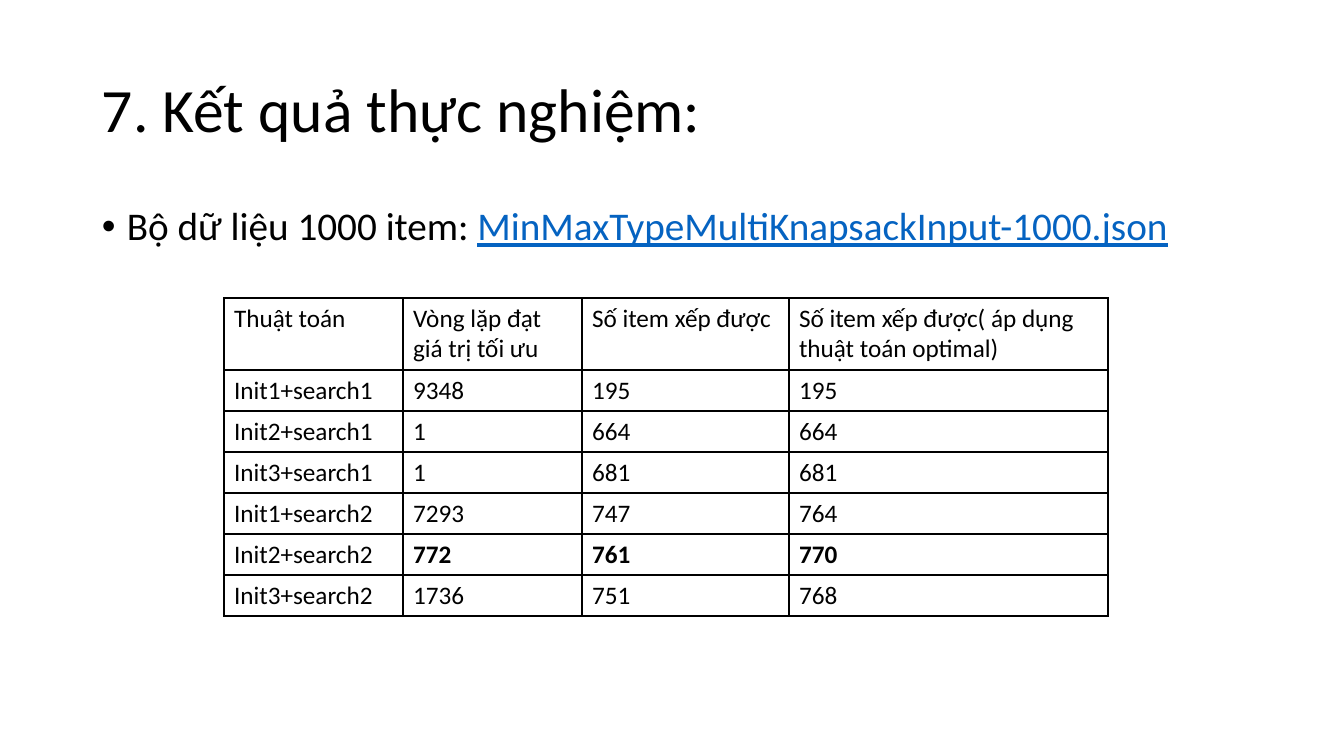
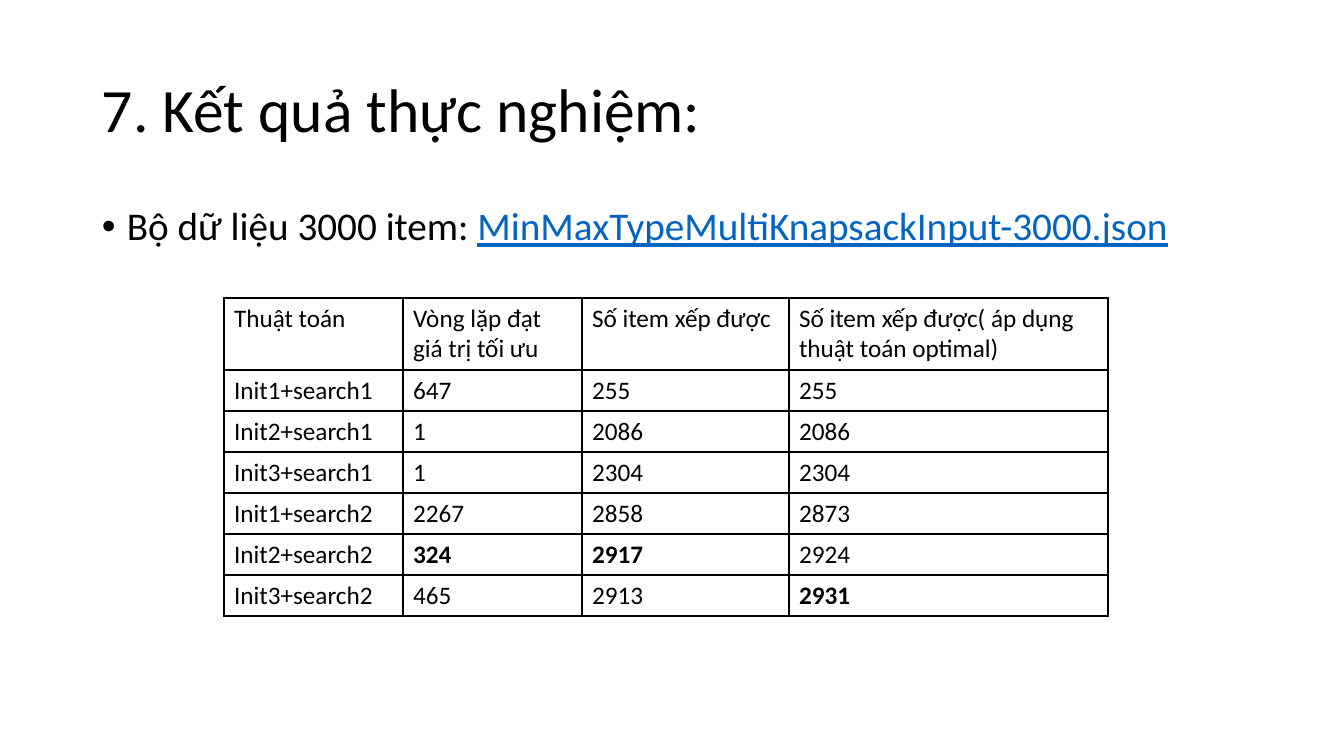
from lxml.etree import SubElement
from pptx import Presentation
from pptx.dml.color import RGBColor
from pptx.enum.text import MSO_ANCHOR
from pptx.oxml import parse_xml
from pptx.oxml.ns import nsdecls, qn
from pptx.util import Emu, Pt

TITLE = "7. Kết quả thực nghiệm:"
HEADER = (
    "Thuật toán",
    "Vòng lặp đạt giá trị tối ưu",
    "Số item xếp được",
    "Số item xếp được( áp dụng thuật toán optimal)",
)
ALGORITHMS = (
    "Init1+search1", "Init2+search1", "Init3+search1",
    "Init1+search2", "Init2+search2", "Init3+search2",
)
EXPERIMENTS = (
    {
        "items": 1000,
        "results": ((9348, 195, 195), (1, 664, 664), (1, 681, 681),
                    (7293, 747, 764), (772, 761, 770), (1736, 751, 768)),
        "bold": {(5, 1), (5, 2), (5, 3)},
    },
    {
        "items": 3000,
        "results": ((647, 255, 255), (1, 2086, 2086), (1, 2304, 2304),
                    (2267, 2858, 2873), (324, 2917, 2924), (465, 2913, 2931)),
        "bold": {(5, 1), (5, 2), (6, 3)},
    },
)

FONT = "Calibri"
BLACK, LINK_BLUE = "000000", "0563C1"
SLIDE_SIZE = (1344, 756)
TITLE_BOX = (92, 40, 1159, 146)
BODY_BOX = (92, 202, 1159, 480)
TABLE_CORNER = (224, 298)
COLUMN_WIDTHS = (179, 179, 207, 319)
HEADER_HEIGHT, ROW_HEIGHT = 72, 41
BULLET_INDENT = 25


def px(length):
    """Turn picture pixels into EMU."""
    return Emu(round(length * 914400 / 100.8))


def color(code):
    """Turn a hex string into a colour."""
    return RGBColor.from_string(code)


def style_run(span, size, code=BLACK, bold=False, underline=False):
    """Set the font of one run."""
    font = span.font
    font.name, font.size = FONT, Pt(size)
    font.bold, font.underline = bold, underline
    font.color.rgb = color(code)


def add_text_box(page, place, anchor):
    """Add a wrapping text box and return its first paragraph."""
    frame = page.shapes.add_textbox(*map(px, place)).text_frame
    frame.word_wrap = True
    frame.vertical_anchor = anchor
    para = frame.paragraphs[0]
    para.line_spacing = 0.9
    return para


def add_title(page):
    """Add the shared slide title."""
    para = add_text_box(page, TITLE_BOX, MSO_ANCHOR.MIDDLE)
    para.text = TITLE
    style_run(para.runs[0], 44)


def add_dataset_line(page, items):
    """Add the bulleted line that names the data file."""
    para = add_text_box(page, BODY_BOX, MSO_ANCHOR.TOP)
    para.space_before = Pt(10)
    label, file_name = para.add_run(), para.add_run()
    label.text = f"Bộ dữ liệu {items} item: "
    file_name.text = f"MinMaxTypeMultiKnapsackInput-{items}.json"
    style_run(label, 28)
    style_run(file_name, 28, LINK_BLUE, underline=True)
    properties = para._p.get_or_add_pPr()
    properties.set("marL", str(px(BULLET_INDENT)))
    properties.set("indent", str(-px(BULLET_INDENT)))
    SubElement(properties, qn("a:buFont")).set("typeface", "Arial")
    SubElement(properties, qn("a:buChar")).set("char", "•")


def add_borders(cell):
    """Draw a thin black line on every side of a cell."""
    properties = cell._tc.get_or_add_tcPr()
    for order, side in enumerate("LRTB"):
        properties.insert(order, parse_xml(
            f'<a:ln{side} {nsdecls("a")} w="{Pt(1)}"><a:solidFill>'
            f'<a:srgbClr val="{BLACK}"/></a:solidFill></a:ln{side}>'))


def add_results_table(page, results, bold):
    """Add the table that compares the algorithms."""
    rows = [HEADER] + [(name, *values) for name, values in zip(ALGORITHMS, results)]
    heights = [HEADER_HEIGHT] + [ROW_HEIGHT] * len(results)
    size = (sum(COLUMN_WIDTHS), sum(heights))
    table = page.shapes.add_table(
        len(rows), len(HEADER), *map(px, TABLE_CORNER + size)).table
    table.first_row = table.horz_banding = False
    for column, width in zip(table.columns, COLUMN_WIDTHS):
        column.width = px(width)
    for row, height in zip(table.rows, heights):
        row.height = px(height)
    for r, values in enumerate(rows):
        for c, value in enumerate(values):
            cell = table.cell(r, c)
            cell.text_frame.text = str(value)
            style_run(cell.text_frame.paragraphs[0].runs[0], 18, bold=(r, c) in bold)
            cell.fill.background()
            add_borders(cell)


deck = Presentation()
deck.slide_width, deck.slide_height = map(px, SLIDE_SIZE)
for experiment in EXPERIMENTS:
    page = deck.slides.add_slide(deck.slide_layouts[6])
    add_title(page)
    add_dataset_line(page, experiment["items"])
    add_results_table(page, experiment["results"], experiment["bold"])
deck.save("out.pptx")
